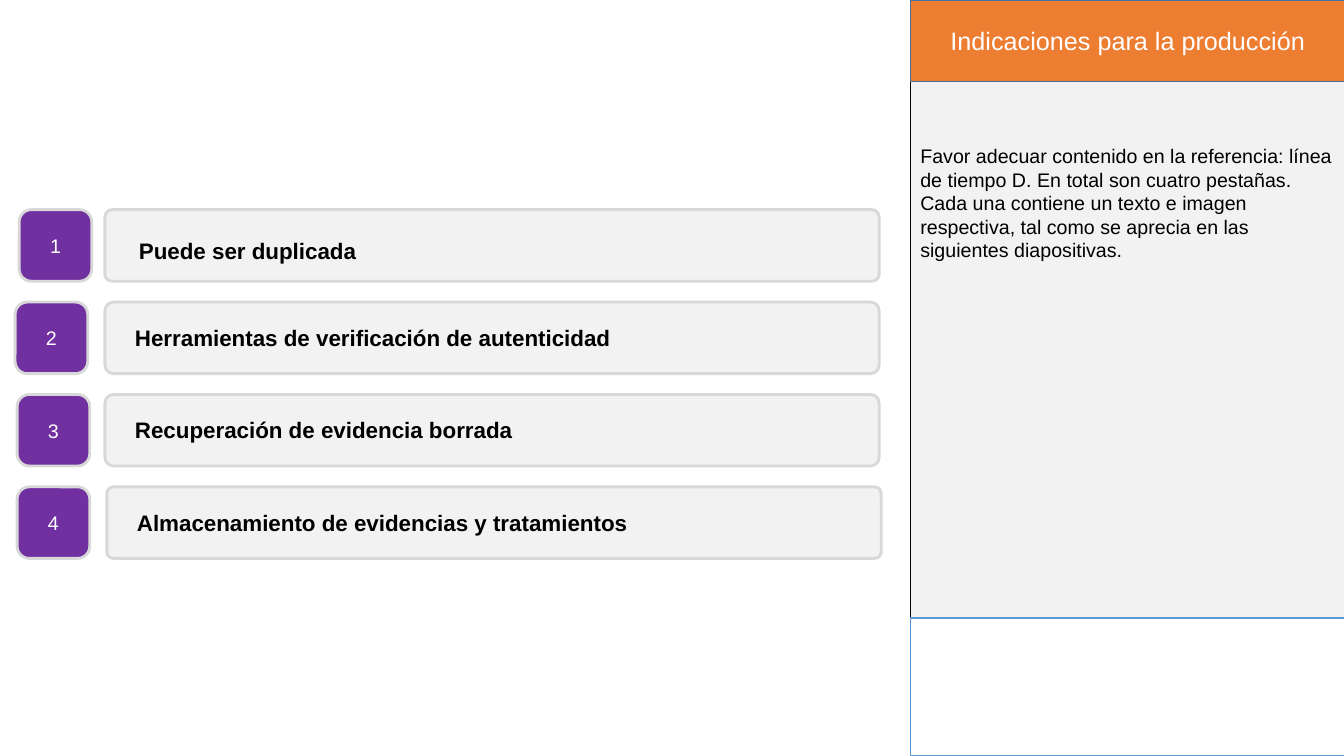
import pptx
import pptx.util
import pptx.dml.color
import pptx.enum.shapes
import pptx.enum.text
from dataclasses import dataclass
from pptx.util import Inches

SHAPES = pptx.enum.shapes.MSO_SHAPE
ALIGN = pptx.enum.text.PP_ALIGN
ANCHOR = pptx.enum.text.MSO_ANCHOR


@dataclass(frozen=True)
class Theme:
    font: str = "Arial"
    black: str = "000000"
    white: str = "FFFFFF"
    panel: str = "F2F2F2"
    orange: str = "ED7D31"
    purple: str = "7030A0"
    tab_line: str = "D8D8D8"
    header_line: str = "42719B"
    footer_line: str = "5B9BD5"
    header_size: int = 18
    tab_size: int = 16
    body_size: int = 14


def rgb(value):
    return pptx.dml.color.RGBColor.from_string(value)


class SlideBuilder:
    def __init__(self, slide, theme):
        self.slide = slide
        self.theme = theme

    def set_text(self, shape, text, size, color, bold=False, align=ALIGN.LEFT, anchor=ANCHOR.TOP):
        frame = shape.text_frame
        frame.text = text
        frame.word_wrap = True
        frame.vertical_anchor = anchor
        para = frame.paragraphs[0]
        para.alignment = align
        font = para.runs[0].font
        font.name = self.theme.font
        font.size = pptx.util.Pt(size)
        font.bold = bold
        font.color.rgb = rgb(color)

    def box(self, left, top, width, height, fill, line, line_width=1, corner=None):
        """Draw a rectangle, rounded when a corner ratio is given."""
        kind = SHAPES.RECTANGLE if corner is None else SHAPES.ROUNDED_RECTANGLE
        shape = self.slide.shapes.add_shape(
            kind, Inches(left), Inches(top), Inches(width), Inches(height))
        if corner is not None:
            shape.adjustments[0] = corner
        shape.shadow.inherit = False
        shape.fill.solid()
        shape.fill.fore_color.rgb = rgb(fill)
        shape.line.color.rgb = rgb(line)
        shape.line.width = pptx.util.Pt(line_width)
        return shape

    def centred_text(self, shape, text, size):
        self.set_text(shape, text, size, self.theme.white,
                      align=ALIGN.CENTER, anchor=ANCHOR.MIDDLE)

    def text(self, left, top, width, height, text, size, bold=False):
        shape = self.slide.shapes.add_textbox(
            Inches(left), Inches(top), Inches(width), Inches(height))
        self.set_text(shape, text, size, self.theme.black, bold)

    def tab(self, number, top, number_left, bar_left, corner, label_left, label_drop,
            label_width, label):
        theme = self.theme
        badge = self.box(number_left, top, 0.72, 0.71, theme.purple, theme.tab_line, 2, 0.17)
        self.centred_text(badge, str(number), theme.body_size)
        self.box(bar_left, top, 7.68, 0.71, theme.panel, theme.tab_line, 2, corner)
        self.text(label_left, top + label_drop, label_width, 0.37, label, theme.tab_size, bold=True)


def main():
    deck = pptx.Presentation()
    deck.slide_width = Inches(13.33)
    deck.slide_height = Inches(7.5)
    theme = Theme()
    builder = SlideBuilder(deck.slides.add_slide(deck.slide_layouts[6]), theme)

    side_left, side_width = 9.03, 4.31
    builder.box(side_left, 0, side_width, 7.5, theme.panel, theme.black)
    builder.text(
        side_left, 1.38, 4.33, 3.3,
        "Favor adecuar contenido en la referencia: línea de tiempo D. "
        "En total son cuatro pestañas. Cada una contiene un texto e imagen respectiva, "
        "tal como se aprecia en las siguientes diapositivas.",
        theme.body_size)
    header = builder.box(side_left, 0, side_width, 0.81, theme.orange, theme.header_line)
    builder.centred_text(header, "Indicaciones para la producción", theme.header_size)
    builder.box(side_left, 6.13, side_width, 1.37, theme.white, theme.footer_line)

    # number left, bar left, bar corner, label left, label drop, label width, label
    tabs = [
        (0.19, 1.04, 0.1, 1.28, 0.22, 2.5, "Puede ser duplicada"),
        (0.15, 1.04, 0.12, 1.24, 0.17, 5.1, "Herramientas de verificación de autenticidad"),
        (0.17, 1.04, 0.12, 1.24, 0.17, 4.1, "Recuperación de evidencia borrada"),
        (0.17, 1.06, 0.09, 1.26, 0.17, 5.25, "Almacenamiento de evidencias y tratamientos"),
    ]
    first_top, last_top = 2.08, 4.83
    step = (last_top - first_top) / (len(tabs) - 1)
    for index, tab in enumerate(tabs):
        builder.tab(index + 1, first_top + index * step, *tab)

    deck.save("out.pptx")


if __name__ == "__main__":
    main()
